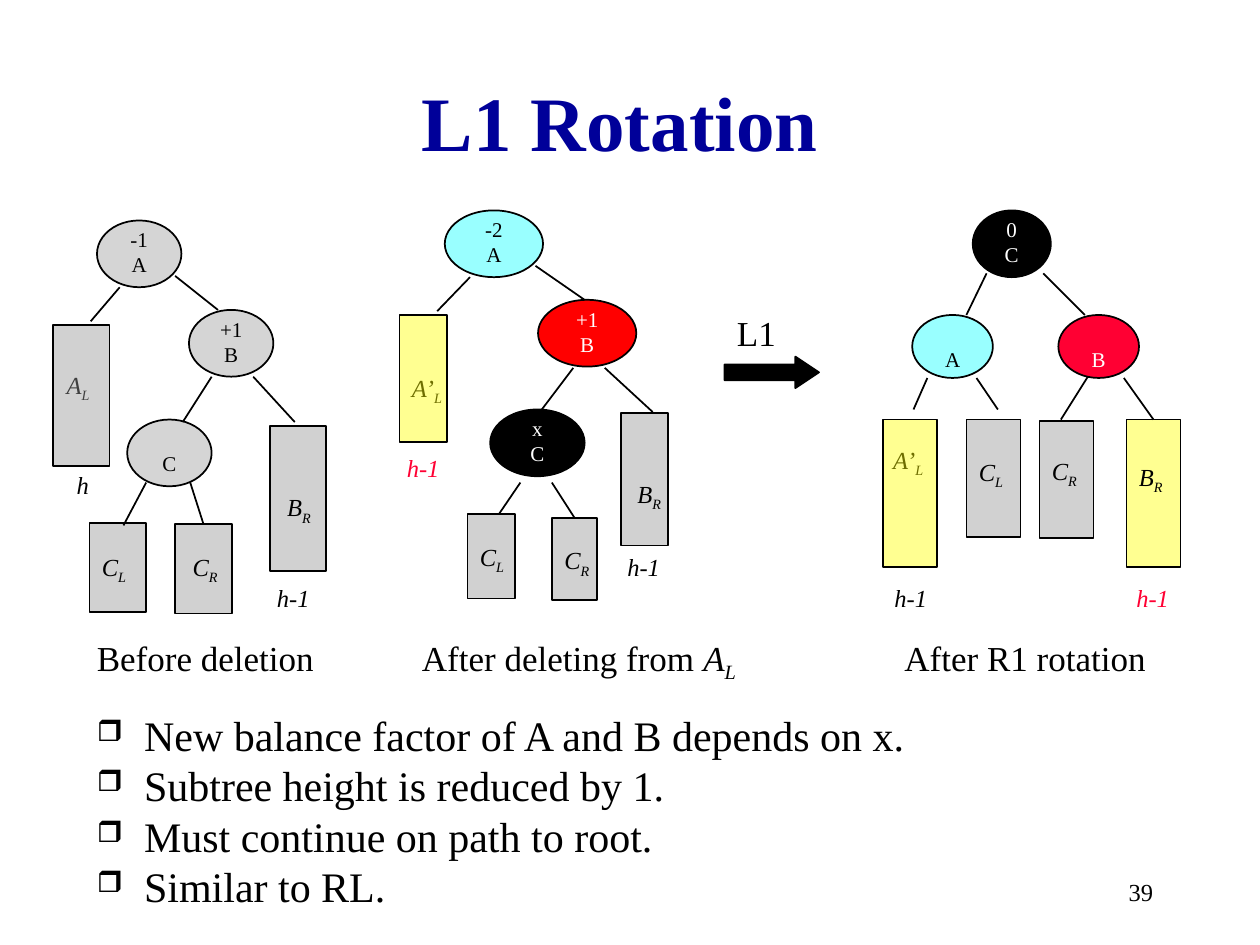
"""Build a slide that shows an L1 rotation as three tree stages."""
from dataclasses import dataclass
from typing import NamedTuple, Optional

from lxml.etree import SubElement
from pptx import Presentation
from pptx.dml.color import RGBColor
from pptx.enum.shapes import MSO_CONNECTOR as Link, MSO_SHAPE as Kind
from pptx.enum.text import MSO_ANCHOR as Anchor, MSO_AUTO_SIZE as Auto, PP_ALIGN as Align
from pptx.oxml.ns import qn
from pptx.util import Emu, Inches, Pt

WIDE, HIGH = Inches(10), Inches(7.5)
COLS, ROWS = 100, 75
FONT = "Times New Roman"
HEX = {"black": "000000", "white": "FFFFFF", "navy": "000099", "gray": "969696",
       "cyan": "00FFFF", "gold": "FFFF00", "red": "FF0000", "rose": "FF0033"}
LEAF, ROW = 43, 3.3


class Box(NamedTuple):
    x: float
    y: float
    w: float
    h: float


class Run(NamedTuple):
    text: str
    slant: bool = False
    sub: bool = False


class Note(NamedTuple):
    text: str
    x: float
    y: float
    w: float
    ink: str = "black"


class Bar(NamedTuple):
    box: Box
    hue: str = "gray"


class Node(NamedTuple):
    text: str
    box: Box
    hue: str = "gray"
    ink: str = "black"
    alpha: int = 100


class Edge(NamedTuple):
    x1: float
    y1: float
    x2: float
    y2: float
    bar: Optional[int] = None


@dataclass
class Tree:
    veiled: Note
    bars: list[Bar]
    edges: list[Edge]
    nodes: list[Node]
    notes: list[Note]


def col(n: float) -> Emu:
    return Emu(round(WIDE * n / COLS))


def row(n: float) -> Emu:
    return Emu(round(HIGH * n / ROWS))


def place(box: Box) -> tuple:
    return col(box.x), row(box.y), col(box.w), row(box.h)


def tint(name: str) -> RGBColor:
    return RGBColor.from_string(HEX[name])


def math(text: str) -> list[Run]:
    base, _, foot = text.partition("_")
    return [Run(base, True)] + ([Run(foot, True, True)] if foot else [])


def add_runs(para, runs: list[Run], size: float, ink: str, bold: bool = False) -> None:
    for part in runs:
        for i, line in enumerate(part.text.split("\n")):
            if i:
                para.add_line_break()
                SubElement(para._p[-1], qn("a:rPr"), sz=str(size * 100))
            if not line:
                continue
            run = para.add_run()
            run.text = line
            font = run.font
            font.name, font.size, font.bold, font.italic = FONT, Pt(size), bold, part.slant
            font.color.rgb = tint(ink)
            if part.sub:
                run._r.get_or_add_rPr().set("baseline", "-25000")


def add_text(pen, box: Box, runs: list[Run], size: float, ink: str = "black",
             align=Align.LEFT, anchor=Anchor.TOP, bold: bool = False, wrap: bool = True):
    frame = pen.add_textbox(*place(box)).text_frame
    frame.word_wrap, frame.vertical_anchor = wrap, anchor
    frame.auto_size = Auto.SHAPE_TO_FIT_TEXT if anchor == Anchor.TOP else Auto.NONE
    para = frame.paragraphs[0]
    para.alignment = align
    add_runs(para, runs, size, ink, bold)


def add_form(pen, kind, box: Box, hue: str, alpha: int = 100):
    form = pen.add_shape(kind, *place(box))
    form.shadow.inherit = False
    form.fill.solid()
    form.fill.fore_color.rgb = tint(hue)
    if alpha < 100:
        paint = form._element.spPr.find(qn("a:solidFill"))[0]
        SubElement(paint, qn("a:alpha"), val=str(alpha * 1000))
    form.line.color.rgb = tint("black")
    form.line.width = Pt(1)
    return form


def add_edge(pen, edge: Edge, bars: list) -> None:
    link = pen.add_connector(Link.STRAIGHT, col(edge.x1), row(edge.y1),
                             col(edge.x2), row(edge.y2))
    if edge.bar is not None:
        link.end_connect(bars[edge.bar], 0)
    link.line.color.rgb = tint("black")
    link.line.width = Pt(1)
    SubElement(link._element.spPr, qn("a:effectLst"))


def add_node(pen, node: Node) -> None:
    add_form(pen, Kind.OVAL, node.box, node.hue, node.alpha)
    x, y, w, _ = node.box
    add_text(pen, Box(x + w / 12, y, w * 5 / 6, 5), [Run(node.text)], 12,
             node.ink, Align.CENTER)


def add_note(pen, note: Note) -> None:
    add_text(pen, Box(note.x, note.y, note.w, ROW), math(note.text), 14, note.ink)


def add_tree(shapes, tree: Tree) -> None:
    pen = shapes.add_group_shape().shapes
    add_note(pen, tree.veiled)
    bars = [add_form(pen, Kind.RECTANGLE, bar.box, bar.hue, LEAF) for bar in tree.bars]
    for edge in tree.edges:
        add_edge(pen, edge, bars)
    for node in tree.nodes:
        add_node(pen, node)
    for note in tree.notes:
        add_note(pen, note)


def add_list(shapes, box: Box, items: list[str]) -> None:
    frame = shapes.add_textbox(*place(box)).text_frame
    frame.word_wrap = True
    for i, item in enumerate(items):
        para = frame.add_paragraph() if i else frame.paragraphs[0]
        props = para._p.get_or_add_pPr()
        props.set("marL", str(col(3.75)))
        props.set("indent", str(-col(3.75)))
        SubElement(SubElement(props, qn("a:buClr")), qn("a:srgbClr"), val=HEX["black"])
        SubElement(props, qn("a:buSzPct"), val="70000")
        SubElement(props, qn("a:buChar"), char="❒")
        add_runs(para, [Run(item)], 24, "black")


TREES = [
    Tree(Note("A_L", 4.3, 28.9, 8.5),
         [Bar(Box(4.2, 25.8, 4.5, 11.2)), Bar(Box(21.4, 33.8, 4.5, 11.5)),
          Bar(Box(7.1, 41.5, 4.5, 7.1)), Bar(Box(13.9, 41.6, 4.5, 7.1))],
         [Edge(9.5, 22.8, 7.2, 25.5), Edge(13.9, 21.9, 17.3, 24.6),
          Edge(16.8, 29.9, 14.5, 33.5), Edge(20.1, 29.9, 23.4, 33.5),
          Edge(11.6, 38.3, 9.8, 41.7), Edge(15.1, 38.3, 16, 41.7, 3)],
         [Node("-1\nA", Box(7.7, 17.5, 6.7, 5.3), alpha=40),
          Node("+1\nB", Box(15, 24.6, 6.7, 5.3), alpha=40),
          Node("\nC", Box(10.1, 33.3, 6.7, 5.3), alpha=40)],
         [Note("h", 5.1, 36.8, 6.7), Note("B_R", 21.8, 38.6, 6.7),
          Note("C_L", 7.1, 43.3, 6.7), Note("C_R", 14.3, 43.3, 6.7),
          Note("h-1", 21, 45.8, 6.7)]),
    Tree(Note("A’_L", 31.7, 29.1, 7.8),
         [Bar(Box(31.7, 25, 3.8, 10.1), "gold"), Bar(Box(49.3, 32.8, 3.7, 10.5)),
          Bar(Box(37.1, 40.8, 3.8, 6.7)), Bar(Box(43.8, 41.1, 3.6, 6.5))],
         [Edge(37.3, 22, 34.7, 24.7), Edge(42.5, 21.1, 46.4, 23.8),
          Edge(45.5, 29.2, 43, 32.5), Edge(48, 29.2, 51.8, 32.7),
          Edge(41.3, 38.3, 39.6, 40.8), Edge(43.8, 38.3, 45.5, 40.8, 3)],
         [Node("-2\nA", Box(35.3, 16.7, 7.8, 5.3), "cyan", alpha=40),
          Node("+1\nB", Box(42.7, 23.8, 7.8, 5.3), "red", "white"),
          Node("x\nC", Box(38.9, 32.5, 7.5, 5.3), "black", "white")],
         [Note("h-1", 31.3, 35.5, 7.8, "rose"), Note("B_R", 49.6, 37.5, 7.5),
          Note("C_L", 37.1, 42.5, 7.5), Note("C_R", 43.8, 42.8, 7.5),
          Note("h-1", 48.8, 43.3, 8.5)]),
    Tree(Note("A’_L", 69.9, 34.8, 6.4),
         [Bar(Box(70.1, 33.3, 4.3, 11.7), "gold"), Bar(Box(76.7, 33.3, 4.3, 9.3)),
          Bar(Box(82.5, 33.4, 4.3, 9.3)), Bar(Box(89.4, 33.3, 4.3, 11.7), "gold")],
         [Edge(78.3, 21.7, 76.7, 25), Edge(82.8, 21.7, 86.1, 25),
          Edge(73.6, 30, 72.5, 32.5), Edge(77.5, 30, 79.2, 32.5),
          Edge(86.4, 29.8, 84.2, 33.3), Edge(89.2, 30, 91.9, 33.3, 3)],
         [Node("0\nC", Box(77.2, 16.7, 6.2, 5.3), "black", "white"),
          Node("\nA", Box(72.4, 25, 6.4, 5), "cyan", alpha=40),
          Node("\nB", Box(84, 25, 6.4, 5), "rose", "white")],
         [Note("C_L", 76.7, 35.8, 6.4), Note("C_R", 82.5, 35.7, 6.4),
          Note("B_R", 89.4, 36.2, 6.4), Note("h-1", 70, 45.8, 7.8),
          Note("h-1", 89.2, 45.8, 7.8, "rose")]),
]
HEADS = [(Box(57.5, 24.2, 7.5, 4.3), [Run("L1")]),
         (Box(6.7, 50, 20, 4.3), [Run("Before deletion")]),
         (Box(32.5, 50, 28.3, 4.3), [Run("After deleting from ")] + math("A_L")),
         (Box(70.8, 50, 23.3, 4.3), [Run("After R1 rotation")])]


def main() -> None:
    deck = Presentation()
    deck.slide_width, deck.slide_height = WIDE, HIGH
    shapes = deck.slides.add_slide(deck.slide_layouts[6]).shapes
    add_text(shapes, Box(6.7, 3.3, 85, 12.5), [Run("L1 Rotation")], 44, "navy",
             Align.CENTER, Anchor.MIDDLE, bold=True)
    arrow = add_form(shapes, Kind.RIGHT_ARROW, Box(57.5, 28.3, 7.5, 2.5), "black")
    arrow.adjustments[1] = 0.75
    for box, runs in HEADS:
        add_text(shapes, box, runs, 20)
    for tree in TREES:
        add_tree(shapes, tree)
    add_list(shapes, Box(6.7, 55.8, 85, 16.7),
             ["New balance factor of A and B depends on x.", "Subtree height is reduced by 1.",
              "Must continue on path to root.", "Similar to RL."])
    add_text(shapes, Box(71.7, 68.3, 20.8, 5), [Run("39")], 14, align=Align.RIGHT,
             anchor=Anchor.MIDDLE, wrap=False)
    deck.save("out.pptx")


if __name__ == "__main__":
    main()
